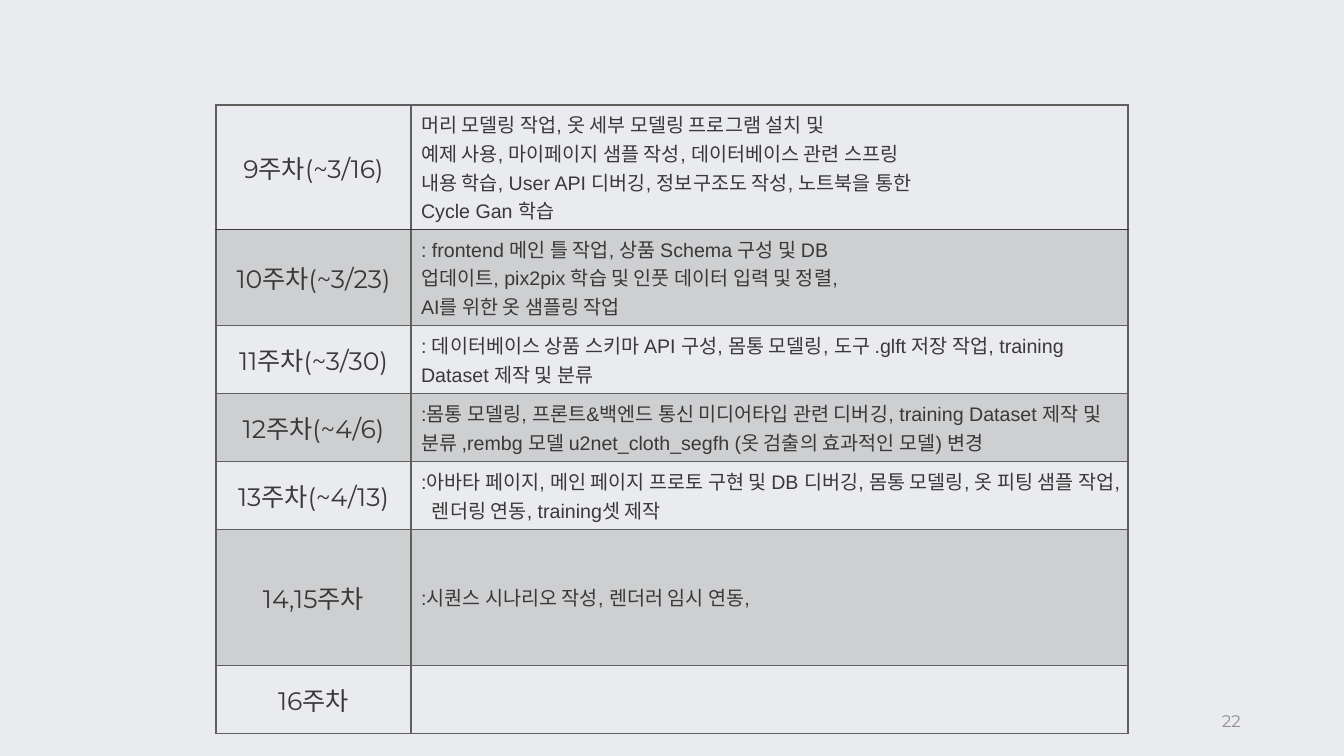
import dataclasses

import pptx
import pptx.dml.color
import pptx.enum.text
import pptx.oxml
import pptx.oxml.ns
import pptx.util

ALIGN = pptx.enum.text.PP_ALIGN
MIDDLE = pptx.enum.text.MSO_ANCHOR.MIDDLE


@dataclasses.dataclass(frozen=True)
class Theme:
    background: str = "EAEBEE"
    ink: str = "3A3838"
    rule: str = "5F5F5D"
    muted: str = "919191"
    shade_percent: int = 20
    rule_points: int = 1
    heading_font: str = "Montserrat"
    body_font: str = "Arial"
    week_size: int = 18
    task_size: int = 14
    number_size: int = 12


THEME = Theme()

SCHEDULE = [
    ("9주차(~3/16)", [
        "머리 모델링 작업, 옷 세부 모델링 프로그램 설치 및",
        "예제 사용, 마이페이지 샘플 작성, 데이터베이스 관련 스프링",
        "내용 학습, User API 디버깅, 정보구조도 작성, 노트북을 통한",
        "Cycle Gan 학습",
    ]),
    ("10주차(~3/23)", [
        ": frontend 메인 틀 작업, 상품 Schema 구성 및 DB",
        "업데이트, pix2pix 학습 및 인풋 데이터 입력 및 정렬,",
        "AI를 위한 옷 샘플링 작업",
    ]),
    ("11주차(~3/30)", [
        ": 데이터베이스 상품 스키마 API 구성, 몸통 모델링, 도구 .glft 저장 작업, "
        "training Dataset 제작 및 분류",
    ]),
    ("12주차(~4/6)", [
        ":몸통 모델링, 프론트&백엔드 통신 미디어타입 관련 디버깅, training Dataset "
        "제작 및 분류 ,rembg 모델 u2net_cloth_segfh (옷 검출의 효과적인 모델) 변경",
    ]),
    ("13주차(~4/13)", [
        ":아바타 페이지, 메인 페이지 프로토 구현 및 DB 디버깅, 몸통 모델링, 옷 피팅 "
        "샘플 작업,  렌더링 연동, training셋 제작",
    ]),
    ("14,15주차", [":시퀀스 시나리오 작성, 렌더러 임시 연동,"]),
    ("16주차", []),
]
ROW_HEIGHTS = [68, 68, 68, 68, 68, 136, 68]
COLUMN_WIDTHS = [195, 717]


def px(length):
    return pptx.util.Emu(round(length * 914400 / 100.8))


def rgb(color):
    return pptx.dml.color.RGBColor.from_string(color)


def write_text(frame, lines, *, font, size, color, align=ALIGN.LEFT):
    for index, line in enumerate(lines):
        para = frame.paragraphs[0] if index == 0 else frame.add_paragraph()
        para.alignment = align
        span = para.add_run()
        span.text = line
        span.font.name = font
        span.font.size = pptx.util.Pt(size)
        span.font.color.rgb = rgb(color)


class SlideBuilder:
    def __init__(self, deck, theme):
        self.theme = theme
        self.page = deck.slides.add_slide(deck.slide_layouts[6])
        fill = self.page.background.fill
        fill.solid()
        fill.fore_color.rgb = rgb(theme.background)

    def text_box(self, left, top, width, height, lines, **style):
        box = self.page.shapes.add_textbox(px(left), px(top), px(width), px(height))
        box.text_frame.word_wrap = True
        box.text_frame.vertical_anchor = MIDDLE
        write_text(box.text_frame, lines, **style)

    def shade(self, cell):
        cell.fill.solid()
        cell.fill.fore_color.rgb = rgb(self.theme.rule)
        color = cell._tc.tcPr.find(".//" + pptx.oxml.ns.qn("a:srgbClr"))
        color.append(pptx.oxml.parse_xml(
            f'<a:alpha {pptx.oxml.ns.nsdecls("a")} val="{self.theme.shade_percent * 1000}"/>'))

    def outline(self, cell, top, bottom):
        edges = {"L": self.theme.rule, "R": self.theme.rule, "T": top, "B": bottom}
        width = pptx.util.Pt(self.theme.rule_points)
        for index, (side, color) in enumerate(edges.items()):
            cell._tc.get_or_add_tcPr().insert(index, pptx.oxml.parse_xml(
                f'<a:ln{side} {pptx.oxml.ns.nsdecls("a")} w="{int(width)}">'
                f'<a:solidFill><a:srgbClr val="{color}"/></a:solidFill></a:ln{side}>'))

    def schedule_table(self, left, top, height, entries):
        theme = self.theme
        frame = self.page.shapes.add_table(
            len(entries), len(COLUMN_WIDTHS), px(left), px(top), px(sum(COLUMN_WIDTHS)), px(height))
        table = frame.table
        table.first_row = False
        table.horz_banding = False
        for column, width in zip(table.columns, COLUMN_WIDTHS):
            column.width = px(width)
        for index, (week, tasks) in enumerate(entries):
            table.rows[index].height = px(ROW_HEIGHTS[index])
            week_cell, task_cell = table.rows[index].cells
            for cell in (week_cell, task_cell):
                cell.vertical_anchor = MIDDLE
                if index % 2:
                    self.shade(cell)
                else:
                    cell.fill.background()
                self.outline(cell,
                             top=theme.ink if index == 1 else theme.rule,
                             bottom=theme.ink if index == 0 else theme.rule)
            write_text(week_cell.text_frame, [week], font=theme.heading_font,
                       size=theme.week_size, color=theme.ink, align=ALIGN.CENTER)
            write_text(task_cell.text_frame, tasks, font=theme.body_font,
                       size=theme.task_size, color=theme.ink)
        frame.height = px(height)


def main():
    deck = pptx.Presentation()
    deck.slide_width, deck.slide_height = px(1344), px(756)
    slide = SlideBuilder(deck, THEME)
    slide.schedule_table(216, 105, 594, SCHEDULE)
    slide.text_box(949, 701, 302, 40, ["22"], font=THEME.heading_font,
                   size=THEME.number_size, color=THEME.muted, align=ALIGN.RIGHT)
    deck.save("out.pptx")


if __name__ == "__main__":
    main()
